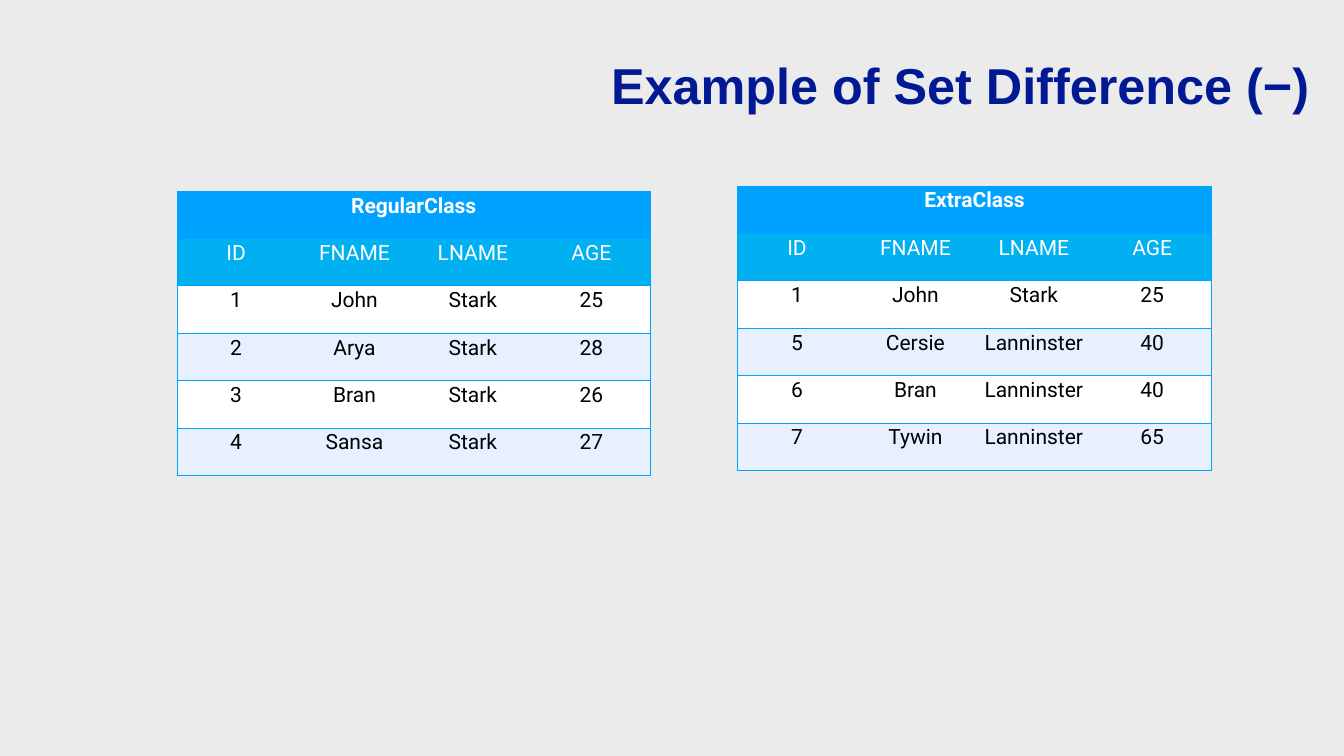
"""Build a slide with two class tables illustrating set difference."""
from lxml import etree
from pptx import Presentation
from pptx import util as u
from pptx.dml.color import RGBColor
from pptx.enum import text
from pptx.oxml import ns

COLORS = {
    "background": "EBEBEB", "title": "011993", "border": "00A2FF",
    "caption": "00A2FF", "header": "00B0F0", "odd": "FFFFFF",
    "even": "E7F0FF", "light": "FFFFFF", "dark": "000000",
}
HEADERS = ["ID", "FNAME", "LNAME", "AGE"]
REGULAR = [
    ["1", "John", "Stark", "25"],
    ["2", "Arya", "Stark", "28"],
    ["3", "Bran", "Stark", "26"],
    ["4", "Sansa", "Stark", "27"],
]
EXTRA = [
    ["1", "John", "Stark", "25"],
    ["5", "Cersie", "Lanninster", "40"],
    ["6", "Bran", "Lanninster", "40"],
    ["7", "Tywin", "Lanninster", "65"],
]


class ClassSlide:
    column_width = 2.35
    row_height = 0.94

    def __init__(self, page):
        self.page = page
        fill = page.background.fill
        fill.solid()
        fill.fore_color.rgb = self.color("background")

    def color(self, name):
        return RGBColor.from_string(COLORS[name])

    def add_words(self, frame, words, align, color, **font):
        para = frame.paragraphs[0]
        para.alignment = align
        span = para.add_run()
        span.text = words
        span.font.color.rgb = self.color(color)
        for name, value in font.items():
            setattr(span.font, name, value)

    def title(self, words, left, top, width, height):
        box = self.page.shapes.title
        place = {"left": left, "top": top, "width": width, "height": height}
        for name, value in place.items():
            setattr(box, name, u.Inches(value))
        frame = box.text_frame
        layout = {"word_wrap": True, "vertical_anchor": text.MSO_ANCHOR.MIDDLE,
                  "auto_size": text.MSO_AUTO_SIZE.SHAPE_TO_FIT_TEXT}
        for side in ("left", "top", "right", "bottom"):
            layout[f"margin_{side}"] = u.Inches(0.06)
        for name, value in layout.items():
            setattr(frame, name, value)
        self.add_words(frame, words, text.PP_ALIGN.RIGHT, "title",
                       name="Arial", size=u.Pt(72), bold=True)

    def borders(self, cell, visible):
        properties = cell._tc.get_or_add_tcPr()
        for side in "LRTB":
            line = etree.SubElement(properties, ns.qn(f"a:ln{side}"), w=str(u.Pt(1)))
            if side in visible:
                fill = etree.SubElement(line, ns.qn("a:solidFill"))
                etree.SubElement(fill, ns.qn("a:srgbClr"), val=COLORS["border"])
            else:
                etree.SubElement(line, ns.qn("a:noFill"))

    def table(self, caption, records, left, top):
        rows = [[caption, "", "", ""], HEADERS, *records]
        count = len(HEADERS)
        table = self.page.shapes.add_table(
            len(rows), count, u.Inches(left), u.Inches(top),
            u.Inches(count * self.column_width),
            u.Inches(len(rows) * self.row_height)).table
        table.cell(0, 0).merge(table.cell(0, count - 1))
        for r, values in enumerate(rows):
            band = ("caption", "header")[r] if r < 2 else ("odd", "even")[r % 2]
            for c, value in enumerate(values):
                cell = table.cell(r, c)
                sides = "TB" + "L" * (c == 0) + "R" * (r == 0 or c == count - 1)
                self.borders(cell, sides)
                cell.fill.solid()
                cell.fill.fore_color.rgb = self.color(band)
                if value:
                    self.add_words(cell.text_frame, value, text.PP_ALIGN.CENTER,
                                   "light" if r < 2 else "dark",
                                   name="Roboto", size=u.Pt(30), bold=r == 0)


def main():
    deck = Presentation()
    deck.slide_width, deck.slide_height = u.Inches(26.67), u.Inches(15)
    slide = ClassSlide(deck.slides.add_slide(deck.slide_layouts[5]))
    slide.title("Example of Set Difference (−)", 1.55, 1.01, 24.5, 1.32)
    slide.table("RegularClass", REGULAR, 3.51, 3.79)
    slide.table("ExtraClass", EXTRA, 14.64, 3.69)
    deck.save("out.pptx")


if __name__ == "__main__":
    main()
